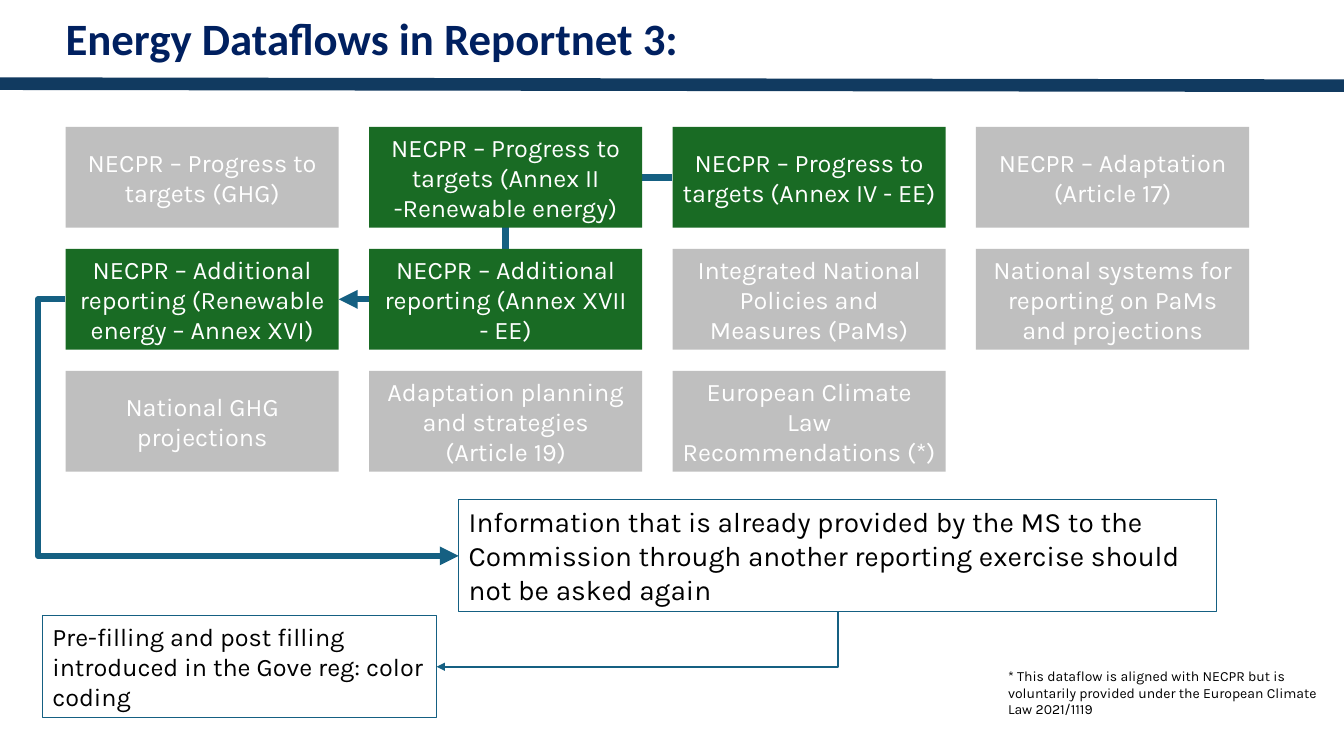
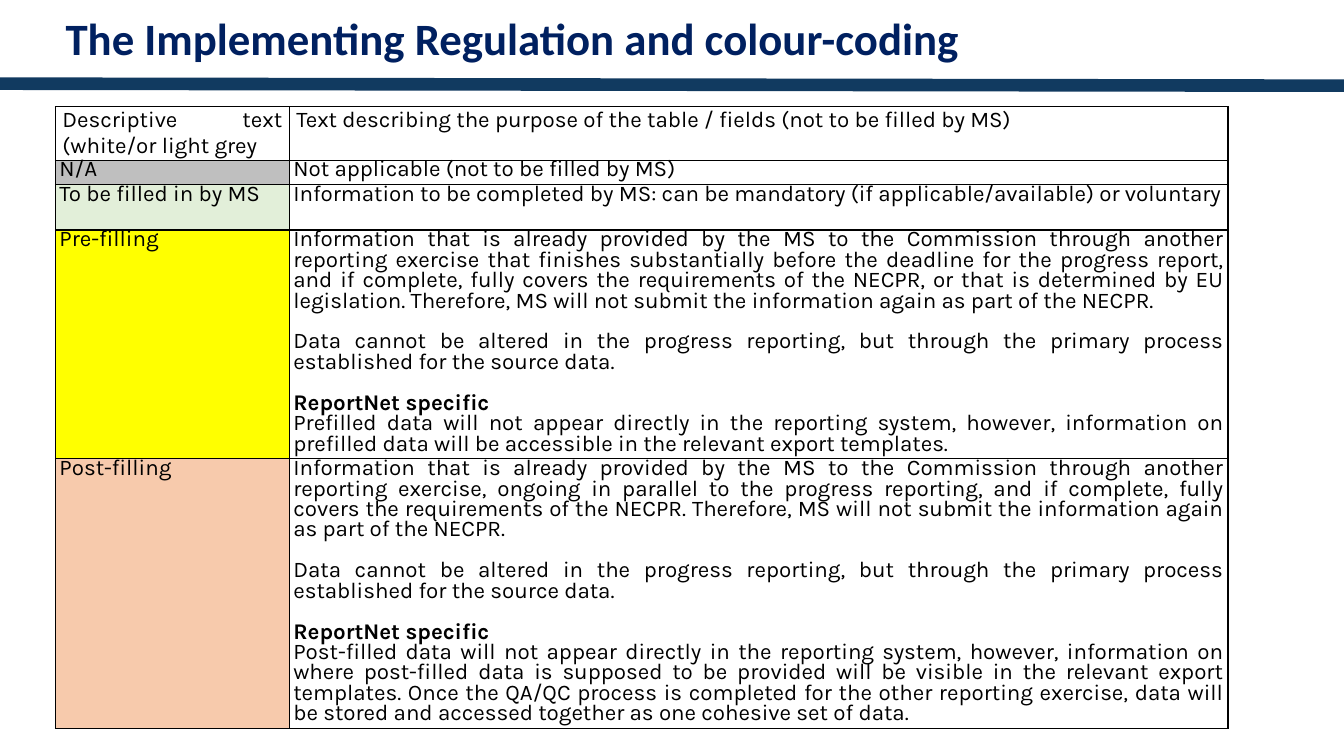
from lxml import etree
from pptx import Presentation
from pptx.dml.color import RGBColor
from pptx.enum.shapes import MSO_CONNECTOR as Link, MSO_SHAPE as Preset
from pptx.enum.text import MSO_ANCHOR as Anchor, MSO_AUTO_SIZE as AutoSize, PP_ALIGN as Align
from pptx.oxml.ns import qn
from pptx.util import Inches, Pt

COLORS = {
    "band": "113A60", "title": "002060", "arrow": "156082",
    "active": "196B24", "muted": "BFBFBF", "white": "FFFFFF", "black": "000000",
    "fill_in": "E2EFD9", "prefill": "FFFF00", "postfill": "F7CAAC",
}
BODY_FONT = "Karla"
TITLE_FONT = "Calibri"
TITLE_BOX = (0.55, 0.06, 12.04, 0.64)
SIDES = ("L", "R", "T", "B")
LEFT_SITE, BOTTOM_SITE, RIGHT_SITE = 1, 2, 3


def color(name):
    return RGBColor.from_string(COLORS[name])


def inches(box):
    return [Inches(value) for value in box]


# Shared helpers

def write(para, text, size=18, font=BODY_FONT, ink="black", bold=False,
          align=Align.LEFT, line=None, before=0, after=0):
    para.alignment = align
    para.space_before, para.space_after = Pt(before), Pt(after)
    if line:
        para.line_spacing = Pt(line)
    span = para.add_run()
    span.text = text
    span.font.size, span.font.name, span.font.bold = Pt(size), font, bold
    span.font.color.rgb = color(ink)


def add_box(page, box, text, fill=None, border=None, anchor=Anchor.TOP, **style):
    shape = page.shapes.add_shape(Preset.RECTANGLE, *inches(box))
    shape.shadow.inherit = False
    if fill:
        shape.fill.solid()
        shape.fill.fore_color.rgb = color(fill)
    else:
        shape.fill.background()
    if border:
        shape.line.color.rgb = color(border)
        shape.line.width = Pt(0.75)
    else:
        shape.line.fill.background()
    frame = shape.text_frame
    frame.word_wrap, frame.vertical_anchor = True, anchor
    write(frame.paragraphs[0], text, **style)
    return shape


def add_line(page, start, end, ink, width, kind=Link.STRAIGHT, arrow=False, bend=None):
    """Bend is the share of the width at which an elbow turns."""
    link = page.shapes.add_connector(kind, *inches(start + end))
    link.line.color.rgb = color(ink)
    link.line.width = Pt(width)
    shape_props = link._element.spPr
    if arrow:
        outline = shape_props.find(qn("a:ln"))
        etree.SubElement(outline, qn("a:tailEnd"), type="triangle")
    if bend is not None:
        guides = shape_props.find(qn("a:prstGeom")).find(qn("a:avLst"))
        etree.SubElement(guides, qn("a:gd"), name="adj1", fmla=f"val {round(bend * 100000)}")
    etree.SubElement(shape_props, qn("a:effectLst"))
    return link


def start_page(deck, title):
    page = deck.slides.add_slide(deck.slide_layouts[5])
    add_line(page, (0, 0.83), (13.33, 0.85), "band", 9)
    holder = page.shapes.title
    holder.left, holder.top, holder.width, holder.height = inches(TITLE_BOX)
    frame = holder.text_frame
    frame.auto_size, frame.word_wrap = AutoSize.NONE, True
    frame.vertical_anchor = Anchor.TOP
    write(frame.paragraphs[0], title, size=32, font=TITLE_FONT, ink="title", bold=True)
    return page


# Slide 1: dataflow grid with linked notes

DATAFLOWS = [
    ["NECPR – Progress to targets (GHG)",
     "NECPR – Progress to targets (Annex II -Renewable energy)",
     "NECPR – Progress to targets (Annex IV - EE)",
     "NECPR – Adaptation (Article 17)"],
    ["NECPR – Additional reporting (Renewable energy – Annex XVI)",
     "NECPR – Additional reporting (Annex XVII - EE)",
     "Integrated National Policies and Measures (PaMs)",
     "National systems for reporting on PaMs and projections"],
    ["National GHG projections",
     "Adaptation planning and strategies (Article 19)",
     "European Climate Law Recommendations (*)"],
]
ENERGY_CELLS = {(0, 1), (0, 2), (1, 0), (1, 1)}


def add_dataflow_grid(page, box, columns=4, rows=3, gap_x=0.3, gap_y=0.21):
    left, top, width, height = box
    tile_w = (width - gap_x * (columns - 1)) / columns
    tile_h = (height - gap_y * (rows - 1)) / rows
    tiles = {}
    for row, names in enumerate(DATAFLOWS):
        for column, name in enumerate(names):
            place = (left + column * (tile_w + gap_x), top + row * (tile_h + gap_y),
                     tile_w, tile_h)
            fill = "active" if (row, column) in ENERGY_CELLS else "muted"
            tiles[row, column] = add_box(page, place, name, fill=fill, ink="white",
                                         anchor=Anchor.MIDDLE, align=Align.CENTER)
    return tiles


def build_dataflows(deck):
    page = start_page(deck, "Energy Dataflows in Reportnet 3:")

    # The link between energy tiles runs behind the grid
    energy_link = add_line(page, (6.67, 1.76), (3.36, 2.97), "arrow", 4.5,
                           kind=Link.ELBOW, arrow=True)
    tiles = add_dataflow_grid(page, (0.65, 1.26, 11.74, 3.42))
    energy_link.begin_connect(tiles[0, 2], LEFT_SITE)
    energy_link.end_connect(tiles[1, 0], RIGHT_SITE)

    # Notes
    once_only = add_box(
        page, (4.55, 4.96, 7.52, 1.11),
        "Information that is already provided by the MS to the Commission through another "
        "reporting exercise should not be asked again", border="arrow", size=20)
    coding = add_box(
        page, (0.42, 6.11, 3.91, 1.01),
        "Pre-filling and post filling introduced in the Gove reg: color coding",
        border="arrow")
    add_box(page, (9.9, 6.57, 3.43, 0.61),
            "* This dataflow is aligned with NECPR but is voluntarily provided under the "
            "European Climate Law 2021/1119", size=10)

    # Arrows to the notes
    to_once_only = add_line(page, (0.65, 2.97), (4.55, 5.52), "arrow", 4.5,
                            kind=Link.ELBOW, arrow=True, bend=-0.07)
    to_once_only.begin_connect(tiles[1, 0], LEFT_SITE)
    to_once_only.end_connect(once_only, LEFT_SITE)
    to_coding = add_line(page, (8.31, 6.07), (4.33, 6.62), "arrow", 1.5,
                         kind=Link.ELBOW, arrow=True, bend=0)
    to_coding.begin_connect(once_only, BOTTOM_SITE)
    to_coding.end_connect(coding, RIGHT_SITE)


# Slide 2: colour-coding table

SOURCE_NOTE = ("Data cannot be altered in the progress reporting, but through the primary "
               "process established for the source data.")
SYSTEM_HEADING = "ReportNet specific"
# Each row: height, label, label fill, description paragraphs
CODING_ROWS = [
    (0.53, "Descriptive text (white/or light grey", None,
     ["Text describing the purpose of the table / fields (not to be filled by MS)"]),
    (0.24, "N/A", "muted", ["Not applicable (not to be filled by MS)"]),
    (0.45, "To be filled in by MS", "fill_in",
     ["Information to be completed by MS: can be mandatory (if applicable/available) or "
      "voluntary"]),
    (2.26, "Pre-filling", "prefill",
     ["Information that is already provided by the MS to the Commission through another "
      "reporting exercise that finishes substantially before the deadline for the progress "
      "report, and if complete, fully covers the requirements of the NECPR, or that is "
      "determined by EU legislation. Therefore, MS will not submit the information again as "
      "part of the NECPR.",
      SOURCE_NOTE, SYSTEM_HEADING,
      "Prefilled data will not appear directly in the reporting system, however, information "
      "on prefilled data will be accessible in the relevant export templates."]),
    (2.67, "Post-filling", "postfill",
     ["Information that is already provided by the MS to the Commission through another "
      "reporting exercise, ongoing in parallel to the progress reporting, and if complete, "
      "fully covers the requirements of the NECPR. Therefore, MS will not submit the "
      "information again as part of the NECPR.",
      SOURCE_NOTE, SYSTEM_HEADING,
      "Post-filled data will not appear directly in the reporting system, however, information "
      "on where post-filled data is supposed to be provided will be visible in the relevant "
      "export templates. Once the QA/QC process is completed for the other reporting exercise, "
      "data will be stored and accessed together as one cohesive set of data."]),
]


def add_borders(cell, ink="black", width=1):
    cell_props = cell._tc.get_or_add_tcPr()
    for side in SIDES:
        edge = etree.SubElement(cell_props, qn(f"a:ln{side}"), w=str(Pt(width)))
        fill = etree.SubElement(edge, qn("a:solidFill"))
        etree.SubElement(fill, qn("a:srgbClr"), val=COLORS[ink])


def fill_cell(cell, texts, fill, is_first_row):
    add_borders(cell)
    if fill:
        cell.fill.solid()
        cell.fill.fore_color.rgb = color(fill)
    else:
        cell.fill.background()
    side, edge = (0.07, 0) if is_first_row else (0.04, 0.02)
    cell.margin_left = cell.margin_right = Inches(side)
    cell.margin_top = cell.margin_bottom = Inches(edge)
    spacing = {"after": 12} if is_first_row else {"line": 14.6}
    frame = cell.text_frame
    for index, text in enumerate(texts):
        para = frame.add_paragraph() if index else frame.paragraphs[0]
        starts_group = text in (SOURCE_NOTE, SYSTEM_HEADING)
        write(para, text, size=16, bold=text == SYSTEM_HEADING, align=Align.JUSTIFY,
              before=14.6 if starts_group else 0, **spacing)


def add_coding_table(page, box, label_width=2.32):
    table = page.shapes.add_table(len(CODING_ROWS), 2, *inches(box)).table
    table.first_row = table.horz_banding = False
    table.columns[0].width = Inches(label_width)
    table.columns[1].width = Inches(box[2] - label_width)
    for index, (height, label, fill, texts) in enumerate(CODING_ROWS):
        table.rows[index].height = Inches(height)
        fill_cell(table.cell(index, 0), [label], fill, index == 0)
        fill_cell(table.cell(index, 1), texts, None, index == 0)


def build_colour_coding(deck):
    page = start_page(deck, "The Implementing Regulation and colour-coding")
    add_coding_table(page, (0.55, 1.06, 11.63, 6.15))


def main():
    deck = Presentation()
    deck.slide_width, deck.slide_height = Inches(13.33), Inches(7.5)
    build_dataflows(deck)
    build_colour_coding(deck)
    deck.save("out.pptx")


if __name__ == "__main__":
    main()
